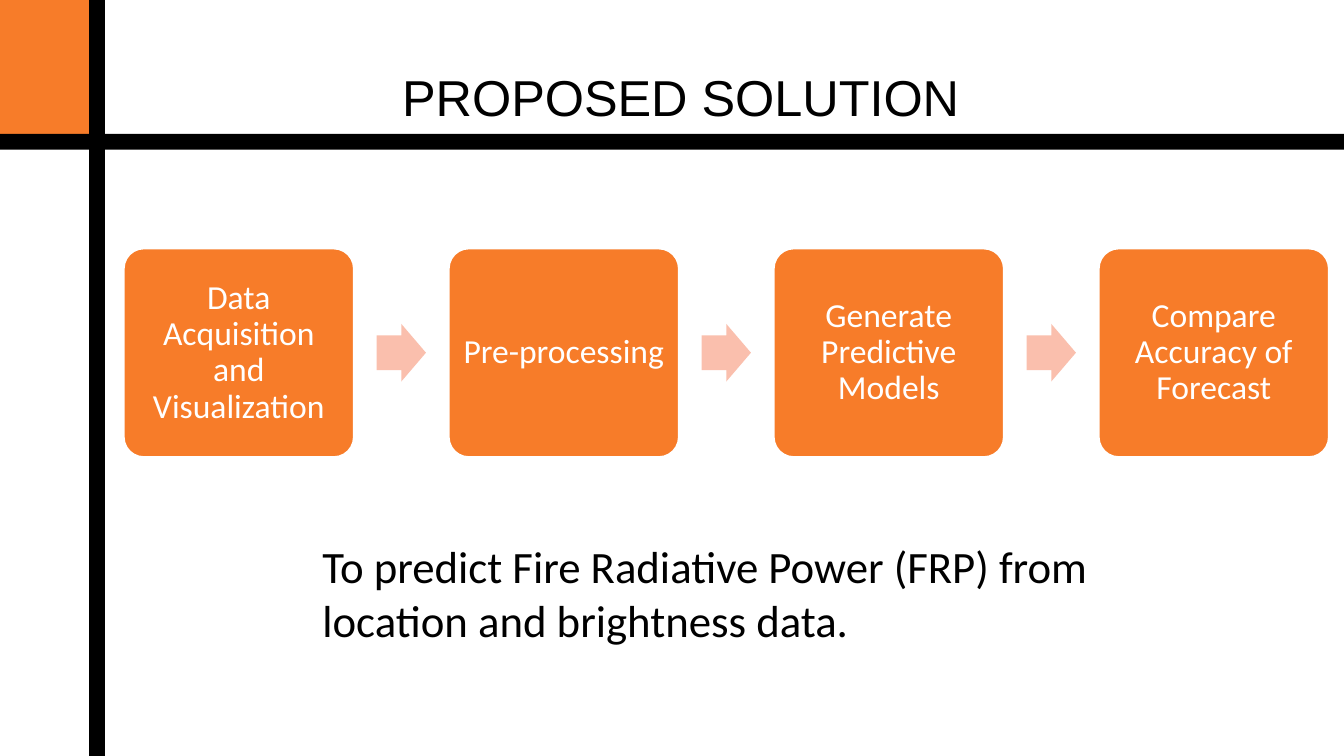
from pptx import Presentation
from pptx.dml.color import RGBColor
from pptx.enum.shapes import MSO_SHAPE as SHAPE
from pptx.enum.text import MSO_ANCHOR as ANCHOR, PP_ALIGN as ALIGN
from pptx.util import Pt

TITLE = "PROPOSED SOLUTION"
STEPS = [
    "Data Acquisition and Visualization",
    "Pre-processing",
    "Generate Predictive Models",
    "Compare Accuracy of Forecast",
]
GOAL = "To predict Fire Radiative Power (FRP) from location and brightness data."

ORANGE = RGBColor(0xF7, 0x7C, 0x29)
PEACH = RGBColor(0xFA, 0xBF, 0xAD)
BLACK = RGBColor(0, 0, 0)
WHITE = RGBColor(0xFF, 0xFF, 0xFF)

SLIDE_W, SLIDE_H = 720, 405
BAR = 8.4
CORNER_W, CORNER_H = 47.8, 71.8
STEP_LEFT, STEP_TOP, STEP_W, STEP_H = 65.8, 132.6, 124.3, 112.8
STEP_PITCH = 174.1
ARROW_W, ARROW_H = 26.4, 30.9

prs = Presentation()
prs.slide_width, prs.slide_height = Pt(SLIDE_W), Pt(SLIDE_H)
slide = prs.slides.add_slide(prs.slide_layouts[6])


def add_block(kind, left, top, width, height, fill, adjustments=()):
    block = slide.shapes.add_shape(kind, Pt(left), Pt(top), Pt(width), Pt(height))
    block.shadow.inherit = False
    block.fill.solid()
    block.fill.fore_color.rgb = fill
    block.line.fill.background()
    for index, value in enumerate(adjustments):
        block.adjustments[index] = value
    return block


def write(frame, text, size, color, font="Calibri", align=ALIGN.LEFT,
          anchor=ANCHOR.TOP, margin=None):
    frame.word_wrap = True
    frame.vertical_anchor = anchor
    if margin is not None:
        for side in ("left", "top", "right", "bottom"):
            setattr(frame, f"margin_{side}", Pt(margin))
    paragraph = frame.paragraphs[0]
    paragraph.alignment = align
    run = paragraph.add_run()
    run.text = text
    for name, value in {"size": Pt(size), "name": font}.items():
        setattr(run.font, name, value)
    run.font.color.rgb = color
    return paragraph


def add_text(left, top, width, height, text, size, **style):
    box = slide.shapes.add_textbox(Pt(left), Pt(top), Pt(width), Pt(height))
    write(box.text_frame, text, size, BLACK, **style)


# Frame of the slide
add_block(SHAPE.RECTANGLE, 0, 0, CORNER_W, CORNER_H, ORANGE)
add_block(SHAPE.RECTANGLE, 0, CORNER_H, SLIDE_W, BAR, BLACK)
add_block(SHAPE.RECTANGLE, CORNER_W, 0, BAR, SLIDE_H, BLACK)

add_text(65.5, 42.5, 598.3, 18.7, TITLE, 27, font="Arial",
         align=ALIGN.CENTER, anchor=ANCHOR.MIDDLE, margin=7.2)

# Steps, with an arrow in the middle of each gap
for number, step in enumerate(STEPS):
    left = STEP_LEFT + number * STEP_PITCH
    if number:
        gap = STEP_PITCH - STEP_W
        add_block(SHAPE.RIGHT_ARROW, left - (gap + ARROW_W) / 2,
                  STEP_TOP + (STEP_H - ARROW_H) / 2, ARROW_W, ARROW_H,
                  PEACH, (0.6, 0.5))
    block = add_block(SHAPE.ROUNDED_RECTANGLE, left, STEP_TOP, STEP_W, STEP_H,
                      ORANGE, (0.1,))
    block.line.color.rgb = WHITE
    block.line.width = Pt(2)
    label = write(block.text_frame, step, 18, WHITE, align=ALIGN.CENTER,
                  anchor=ANCHOR.MIDDLE, margin=5.1)
    label.line_spacing = 0.9

add_text(165.6, 285.1, 446.4, 65.5, GOAL, 24)

prs.save("out.pptx")
